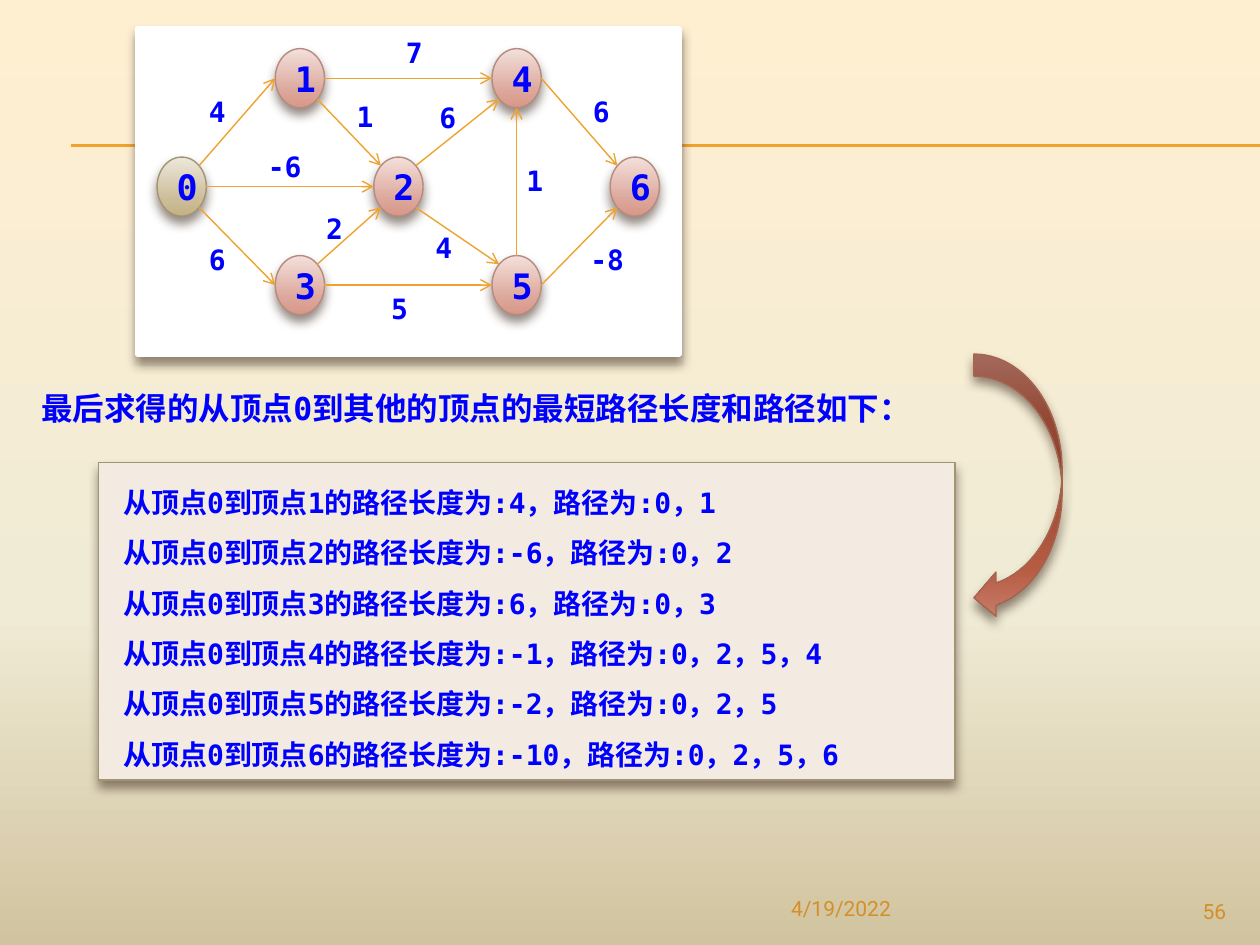
from copy import deepcopy
from math import cos, radians, sin

from lxml.etree import SubElement
from pptx import Presentation
from pptx.dml.color import RGBColor
from pptx.enum.shapes import MSO_CONNECTOR, MSO_SHAPE
from pptx.enum.text import MSO_ANCHOR, MSO_AUTO_SIZE, PP_ALIGN
from pptx.oxml.ns import qn
from pptx.util import Inches, Pt

MONO = "DejaVu Sans Mono"
BLUE, ORANGE, AMBER = "0000FF", "F0A22E", "D48F29"
GRID_COLUMNS, GRID_ROWS = 55, 33
NODE_SIZE = (5, 6)
SITES = {"E": 0, "SE": 45, "S": 90, "SW": 135, "W": 180, "NW": 225, "N": 270, "NE": 315}
SOURCE_STOPS = [(0, "EDE8DC"), (72, "CCBD99"), (100, "C4B284")]
NODE_STOPS = [(0, "F3E0DB"), (72, "DCA79B"), (100, "D89787")]
ARROW_STOPS = [(0, "CD8473"), (25, "B75B42"), (50, "AA533C"),
               (65, "AA533C"), (80, "B65B42"), (100, "C77D6B")]
BACKDROP_STOPS = [(0, "FFEFD1"), (65, "F0EBD5"), (100, "D1C39F")]
NODES = {0: (4.5, 16), 1: (16.5, 5), 3: (16.5, 26), 4: (38.5, 5),
         5: (38.5, 26), 2: (26.5, 16), 6: (50.5, 16)}
EDGES = [
    (0, "NE", 1, "W", "4", 6, 6), (1, "E", 4, "W", "7", 26, 0),
    (0, "SE", 3, "W", "6", 6, 21), (0, "E", 2, "W", "-6", 12, 11.65),
    (1, "SE", 2, "NW", "1", 21, 6.5), (3, "E", 5, "W", "5", 24.5, 26),
    (2, "NE", 4, "SW", "6", 29.4, 6.65), (5, "N", 4, "S", "1", 38.25, 13),
    (2, "SE", 5, "NW", "4", 29, 19.8), (3, "NE", 2, "SW", "2", 17.9, 17.9),
    (4, "E", 6, "NW", "6", 45, 6), (5, "E", 6, "SW", "-8", 46, 21),
]
SHORTEST = [(1, 4, "01"), (2, -6, "02"), (3, 6, "03"),
            (4, -1, "0254"), (5, -2, "025"), (6, -10, "0256")]


def color(value):
    """Turn a hex string into a colour."""
    return RGBColor.from_string(value)


def paint_gradient(fill, owner, stops):
    """Fill from top to bottom through the given stops."""
    fill.gradient()
    fill.gradient_angle = 270
    stop_list = next(owner.iter(qn("a:gsLst")))
    pattern = deepcopy(stop_list[0])
    for old in list(stop_list):
        stop_list.remove(old)
    for _ in stops:
        stop_list.append(deepcopy(pattern))
    for stop, (position, value) in zip(fill.gradient_stops, stops):
        stop.position = position / 100
        stop.color.rgb = color(value)


def add_block(shapes, kind, box, paint, outline, weight=0.79):
    """Add a preset shape with its fill, outline and soft shadow."""
    block = shapes.add_shape(kind, *map(Inches, box))
    if isinstance(paint, str):
        block.fill.solid()
        block.fill.fore_color.rgb = color(paint)
    else:
        paint_gradient(block.fill, block._element, paint)
    block.line.color.rgb = color(outline)
    block.line.width = Pt(weight)
    block.shadow.inherit = False
    effects = block._element.spPr.find(qn("a:effectLst"))
    shadow = SubElement(effects, qn("a:outerShdw"), blurRad=str(Pt(6)),
                        dist=str(Pt(4)), dir="5400000", rotWithShape="0")
    tint = SubElement(shadow, qn("a:srgbClr"), val="4E3B30")
    SubElement(tint, qn("a:alpha"), val="60000")
    return block


def add_line(shapes, start, end, weight, arrow=False):
    """Draw a straight orange line, with an arrowhead if asked."""
    line = shapes.add_connector(MSO_CONNECTOR.STRAIGHT, *map(Inches, (*start, *end)))
    line.line.color.rgb = color(ORANGE)
    line.line.width = Pt(weight)
    if arrow:
        SubElement(line.line._get_or_add_ln(), qn("a:tailEnd"), type="arrow")
    SubElement(line._element.spPr, qn("a:effectLst"))


def write(frame, lines, size, font=MONO, ink=BLUE, bold=True,
          align=PP_ALIGN.LEFT, spacing=None):
    """Write one paragraph per line in a single style."""
    frame.word_wrap = True
    for index, line in enumerate(lines):
        paragraph = frame.add_paragraph() if index else frame.paragraphs[0]
        paragraph.text = line
        paragraph.alignment = align
        paragraph.line_spacing = spacing
        paragraph.font.name = font
        paragraph.font.size = Pt(size)
        paragraph.font.bold = bold
        paragraph.font.color.rgb = color(ink)


def add_label(shapes, box, text, size, **style):
    """Add a text box holding one line."""
    label = shapes.add_textbox(*map(Inches, box))
    write(label.text_frame, [text], size, **style)
    return label


def add_backdrop(slide, width, height):
    """Paint the background and the double rule across the slide."""
    paint_gradient(slide.background.fill, slide._element, BACKDROP_STOPS)
    for level in (1.15, 1.16):
        add_line(slide.shapes, (0.056 * width, level / 7.5 * height),
                 (width, level / 7.5 * height), 0.75)


def add_graph(shapes, box):
    """Draw the weighted directed graph on a white panel."""
    left, top, width, height = box
    column, row = width / GRID_COLUMNS, height / GRID_ROWS
    graph = shapes.add_group_shape().shapes
    add_block(graph, MSO_SHAPE.RECTANGLE, box, "FFFFFF", "FFFFFF", 3)

    def cell(x, y, across, down):
        return left + x * column, top + y * row, across * column, down * row

    def site(vertex, side):
        x, y = NODES[vertex]
        angle = radians(SITES[side])
        return (left + (x + NODE_SIZE[0] / 2 * cos(angle)) * column,
                top + (y + NODE_SIZE[1] / 2 * sin(angle)) * row)

    for vertex, (x, y) in NODES.items():
        across, down = NODE_SIZE
        stops, outline = (NODE_STOPS, "B58B80") if vertex else (SOURCE_STOPS, "A19574")
        node = add_block(graph, MSO_SHAPE.OVAL,
                         cell(x - across / 2, y - down / 2, across, down), stops, outline)
        node.text_frame.vertical_anchor = MSO_ANCHOR.MIDDLE
        write(node.text_frame, [str(vertex)], 20, align=PP_ALIGN.CENTER)
    for start, leaving, end, entering, weight, x, y in EDGES:
        add_line(graph, site(start, leaving), site(end, entering), 0.79, arrow=True)
        label = add_label(graph, cell(x, y, 7 if weight == "-6" else 4, 4.7), weight, 16)
        if weight == "-8":
            label.text_frame.margin_left = label.text_frame.margin_right = 0


def add_results(shapes, box):
    """List the shortest path from vertex 0 to each other vertex."""
    results = add_block(shapes, MSO_SHAPE.RECTANGLE, box, "F3EAE2", "A19574")
    results.text_frame.margin_left = Inches(0.2)
    results.text_frame.vertical_anchor = MSO_ANCHOR.TOP
    results.text_frame.auto_size = MSO_AUTO_SIZE.SHAPE_TO_FIT_TEXT
    lines = [f"从顶点0到顶点{goal}的路径长度为:{length}，路径为:{'，'.join(route)}"
             for goal, length, route in SHORTEST]
    write(results.text_frame, lines, 16, spacing=1.5)


def add_footer(shapes, box):
    """Place the date and the slide number in the footer strip."""
    left, top, width, height = box
    style = {"font": "Roboto", "ink": AMBER, "bold": False}
    add_label(shapes, (left, top, 0.75 * width, height), "4/19/2022", 12, **style)
    add_label(shapes, (left + 0.77 * width, top + 0.02, 0.23 * width, 0.85 * height),
              "56", 12, align=PP_ALIGN.RIGHT, **style)


def main():
    """Build and save the slide."""
    deck = Presentation()
    deck.slide_width, deck.slide_height = Inches(10), Inches(7.5)
    slide = deck.slides.add_slide(deck.slide_layouts[6])
    shapes = slide.shapes
    add_backdrop(slide, 10, 7.5)
    add_label(shapes, (0.23, 2.89, 7.73, 0.5),
              "最后求得的从顶点0到其他的顶点的最短路径长度和路径如下：", 18, spacing=Pt(32))
    add_results(shapes, (0.78, 3.67, 6.8, 2.52))
    add_graph(shapes, (1.09, 0.23, 4.3, 2.58))
    add_block(shapes, MSO_SHAPE.CURVED_LEFT_ARROW, (7.73, 2.81, 0.7, 2.11),
              ARROW_STOPS, "A5644E")
    add_footer(shapes, (6.18, 7.06, 3.65, 0.32))
    deck.save("out.pptx")


if __name__ == "__main__":
    main()
